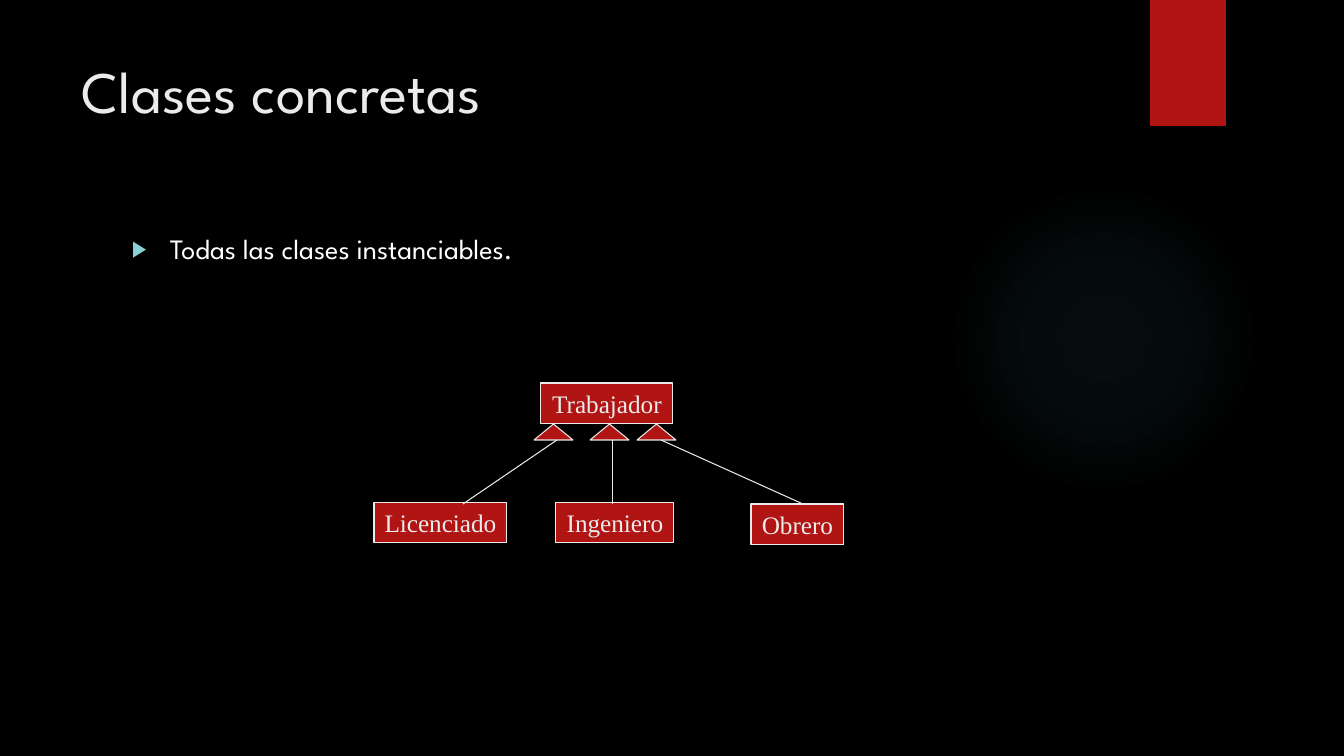
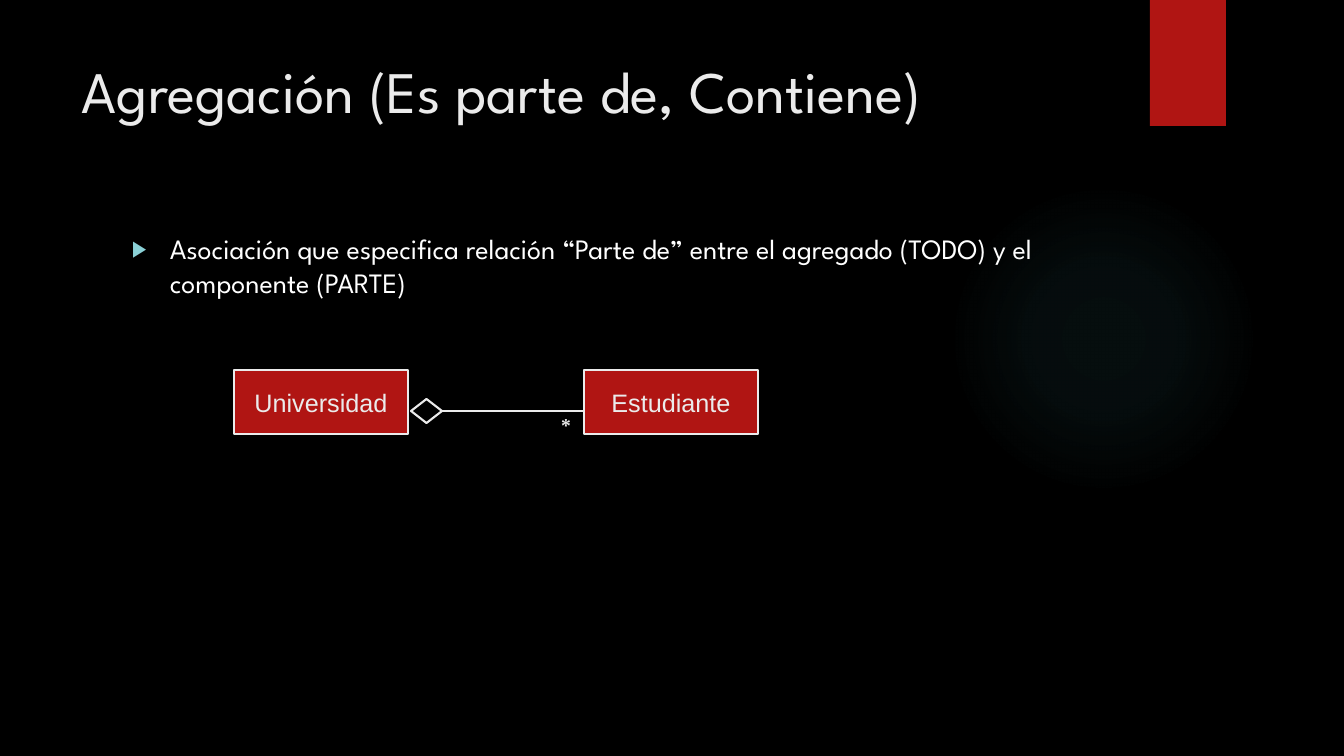
from dataclasses import dataclass
from typing import NamedTuple

from lxml.etree import SubElement
from pptx import Presentation
from pptx.dml.color import RGBColor
from pptx.enum.shapes import MSO_CONNECTOR, MSO_SHAPE
from pptx.enum.text import MSO_ANCHOR, PP_ALIGN
from pptx.oxml import parse_xml
from pptx.oxml.ns import nsdecls, qn
from pptx.util import Emu, Pt

EMU_PER_PX = 914400 / 100.8


class Box(NamedTuple):
    """Left, top, width and height in px."""
    x: int
    y: int
    w: int
    h: int

    def inner(self, x, y, w, h):
        """Return a box placed relative to this one."""
        return Box(self.x + x, self.y + y, w, h)


@dataclass(frozen=True)
class Theme:
    """Colours, fonts and type sizes of the presentation."""
    ground: str = "000000"
    accent: str = "B01513"
    light: str = "EBEBEB"
    body: str = "FFFFFF"
    bullet: str = "8AD0D6"
    glow: str = "50B9C1"
    display_font: str = "League Spartan"
    serif_font: str = "Times New Roman"
    sans_font: str = "Arial"
    title_size: int = 42
    body_size: int = 20
    label_size: int = 18
    mark_size: int = 14
    thin: float = 0.75
    medium: float = 1
    thick: float = 1.5


THEME = Theme()
SLIDE = Box(0, 0, 1344, 756)
GLOW = Box(949, 184, 310, 310)
BAND = Box(1150, 0, 76, 126)
TITLE = Box(72, 50, 1037, 154)
BODY = Box(122, 227, 986, 463)
HIERARCHY = Box(374, 383, 470, 163)
AGGREGATION = Box(234, 370, 524, 64)
BULLET_INDENT = 38
GLOW_STOPS = ((0, 7), (36, 6), (69, 0))


def px(length):
    """Convert px to EMU."""
    return Emu(round(length * EMU_PER_PX))


def place(box):
    """Return the box in EMU."""
    return [px(length) for length in box]


def write(shape, text, *, size, font, color=THEME.light, bold=False,
          align=PP_ALIGN.LEFT, anchor=MSO_ANCHOR.TOP, wrap=True, before=0):
    """Write one formatted paragraph into a shape and return it."""
    frame = shape.text_frame
    frame.word_wrap = wrap
    frame.vertical_anchor = anchor
    paragraph = frame.paragraphs[0]
    paragraph.alignment = align
    paragraph.space_before = Pt(before)
    run = paragraph.add_run()
    run.text = text
    run.font.name = font
    run.font.size = Pt(size)
    run.font.bold = bold
    run.font.color.rgb = RGBColor.from_string(color)
    return paragraph


def add_outline(slide, kind, box, *, fill=None, weight=None):
    """Add a preset shape with an optional fill and a light outline."""
    shape = slide.shapes.add_shape(kind, *place(box))
    shape.shadow.inherit = False
    if fill:
        shape.fill.solid()
        shape.fill.fore_color.rgb = RGBColor.from_string(fill)
    else:
        shape.fill.background()
    if weight:
        shape.line.color.rgb = RGBColor.from_string(THEME.light)
        shape.line.width = Pt(weight)
    else:
        shape.line.fill.background()
    return shape


def add_link(slide, start, end, weight):
    """Draw a plain light line between two points."""
    link = slide.shapes.add_connector(
        MSO_CONNECTOR.STRAIGHT, *place(start), *place(end))
    link.line.color.rgb = RGBColor.from_string(THEME.light)
    link.line.width = Pt(weight)
    SubElement(link._element.spPr, qn("a:effectLst"))


def add_class(slide, box, name, *, font, weight):
    """Add a red class box with its centred name."""
    class_box = add_outline(slide, MSO_SHAPE.RECTANGLE, box,
                            fill=THEME.accent, weight=weight)
    write(class_box, name, size=THEME.label_size, font=font,
          align=PP_ALIGN.CENTER, anchor=MSO_ANCHOR.MIDDLE, wrap=False)


def add_glow(slide, box):
    """Add the faint round glow behind the content."""
    glow = add_outline(slide, MSO_SHAPE.OVAL, box)
    stops = "".join(
        f'<a:gs pos="{position * 1000}"><a:srgbClr val="{THEME.glow}">'
        f'<a:alpha val="{alpha * 1000}"/></a:srgbClr></a:gs>'
        for position, alpha in GLOW_STOPS)
    gradient = parse_xml(
        f'<a:gradFill {nsdecls("a")} rotWithShape="1"><a:gsLst>{stops}</a:gsLst>'
        '<a:path path="circle"><a:fillToRect l="50000" t="50000" r="50000" '
        'b="50000"/></a:path></a:gradFill>')
    properties = glow._element.spPr
    properties.replace(properties.find(qn("a:noFill")), gradient)


def add_bullet(paragraph):
    """Give a paragraph the triangular bullet and hanging indent."""
    properties = paragraph._p.get_or_add_pPr()
    properties.set("marL", str(px(BULLET_INDENT)))
    properties.set("indent", str(-px(BULLET_INDENT)))
    color = SubElement(properties, qn("a:buClr"))
    SubElement(color, qn("a:srgbClr"), val=THEME.bullet)
    SubElement(properties, qn("a:buSzPct"), val="80000")
    SubElement(properties, qn("a:buFont"), typeface=THEME.sans_font)
    SubElement(properties, qn("a:buChar"), char="▶")


def add_topic(deck, title, definition):
    """Add a slide with the shared decoration, title and definition."""
    slide = deck.slides.add_slide(deck.slide_layouts[6])
    slide.background.fill.solid()
    slide.background.fill.fore_color.rgb = RGBColor.from_string(THEME.ground)
    add_glow(slide, GLOW)
    add_outline(slide, MSO_SHAPE.RECTANGLE, BAND, fill=THEME.accent)
    write(slide.shapes.add_textbox(*place(TITLE)), title,
          size=THEME.title_size, font=THEME.display_font)
    add_bullet(write(slide.shapes.add_textbox(*place(BODY)), definition,
                     size=THEME.body_size, font=THEME.display_font,
                     color=THEME.body, before=10))
    return slide


def add_hierarchy(slide, box):
    """Draw the worker class with its three subclasses."""
    classes = (("Trabajador", 167, 0, 132), ("Licenciado", 0, 119, 133),
               ("Obrero", 377, 121, 93), ("Ingeniero", 182, 119, 118))
    for name, x, y, width in classes:
        add_class(slide, box.inner(x, y, width, 41), name,
                  font=THEME.serif_font, weight=THEME.thin)
    inheritances = ((160, 183, 89), (216, 239, 239), (263, 287, 429))
    for head_x, parent_x, child_x in inheritances:
        add_outline(slide, MSO_SHAPE.ISOSCELES_TRIANGLE,
                    box.inner(head_x, 41, 39, 16),
                    fill=THEME.accent, weight=THEME.thin)
        add_link(slide, (box.x + child_x, box.y + 121),
                 (box.x + parent_x, box.y + 57), THEME.thin)


def add_aggregation(slide, box):
    """Draw the university that contains many students."""
    class_width, axis = 174, 41
    for name, x in (("Universidad", 0), ("Estudiante", box.w - class_width)):
        add_class(slide, box.inner(x, 0, class_width, box.h), name,
                  font=THEME.sans_font, weight=THEME.medium)
    add_link(slide, (box.x + 208, box.y + axis),
             (box.x + 351, box.y + axis), THEME.thick)
    add_outline(slide, MSO_SHAPE.DIAMOND, box.inner(177, axis - 12, 31, 24),
                weight=THEME.thick)
    multiplicity = slide.shapes.add_textbox(*place(box.inner(317, 38, 30, 33)))
    write(multiplicity, "*", size=THEME.mark_size, font=THEME.serif_font,
          bold=True, align=PP_ALIGN.CENTER, wrap=False)


def main():
    """Build and save the presentation."""
    deck = Presentation()
    deck.slide_width, deck.slide_height = px(SLIDE.w), px(SLIDE.h)
    concrete = add_topic(deck, "Clases concretas",
                         "Todas las clases instanciables.")
    add_hierarchy(concrete, HIERARCHY)
    aggregation = add_topic(
        deck, "Agregación (Es parte de, Contiene)",
        "Asociación que especifica relación “Parte de” entre el agregado "
        "(TODO) y el componente (PARTE)")
    add_aggregation(aggregation, AGGREGATION)
    deck.save("out.pptx")


if __name__ == "__main__":
    main()
